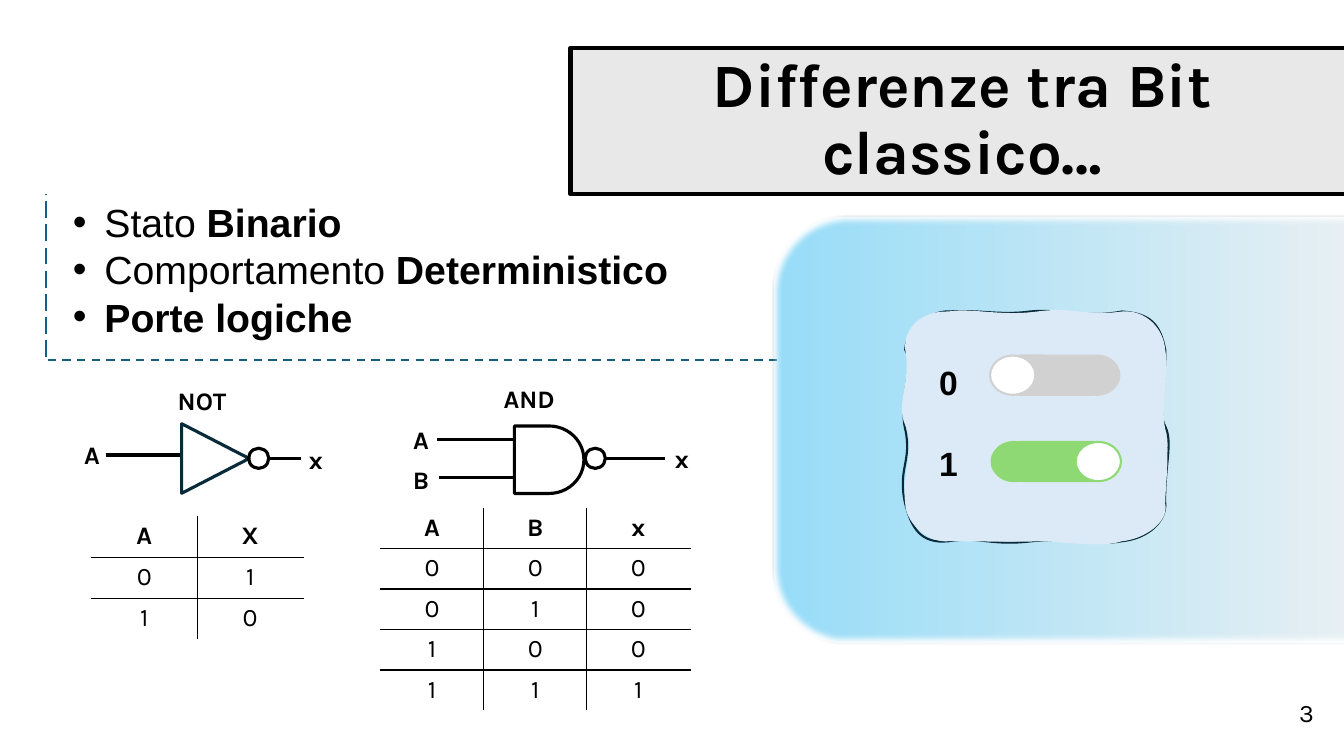
import lxml.etree
import pptx
import pptx.dml.color
import pptx.enum.dml
import pptx.enum.shapes
import pptx.enum.text
import pptx.oxml
import pptx.oxml.ns
import pptx.util

Pt = pptx.util.Pt
Kind = pptx.enum.shapes.MSO_SHAPE
Dash = pptx.enum.dml.MSO_LINE
Align = pptx.enum.text.PP_ALIGN
Anchor = pptx.enum.text.MSO_ANCHOR

TRACE = [
    (646.6, 249.8),
    (647.3, 234.7), (665.3, 221.8), (677.5, 222.5),
    (699.1, 221), (714.2, 225.4), (735.8, 222.5),
    (757.4, 220.3), (775.4, 227.5), (801.4, 222.5),
    (821.5, 223.9), (828.7, 231.1), (832.3, 249.8),
    (833, 272.2), (826.6, 293.8), (832.3, 304.6),
    (838.1, 316.1), (831.6, 334.1), (832.3, 360),
    (833, 371.5), (821.5, 384.5), (801.4, 386.6),
    (782.6, 390.2), (766.8, 383.8), (737.3, 386.6),
    (707, 390.2), (700.6, 383), (677.5, 386.6),
    (657.4, 388.8), (650.9, 376.6), (646.6, 360),
    (640.8, 334.8), (651.6, 329.8), (646.6, 306.7),
    (641.5, 284.4), (653.8, 261.4), (646.6, 249.8),
]
PANEL = [
    (646.6, 249.8),
    (645.1, 234), (658.8, 221.8), (677.5, 222.5),
    (692.6, 219.6), (715, 226.1), (740.9, 222.5),
    (766.8, 218.9), (775.4, 226.1), (801.4, 222.5),
    (817.2, 221), (830.9, 233.3), (832.3, 249.8),
    (835.2, 266.4), (828.7, 288.7), (832.3, 306.7),
    (835.9, 325.4), (832.3, 347.8), (832.3, 360),
    (835.2, 373), (817.2, 385.2), (801.4, 386.6),
    (787, 391.7), (758.2, 386.6), (742.3, 386.6),
    (725.8, 387.4), (705.6, 386.6), (677.5, 386.6),
    (661, 388.1), (646.6, 371.5), (646.6, 360),
    (643.7, 339.1), (653.8, 320.4), (646.6, 303.8),
    (639.4, 287.3), (650.9, 274.3), (646.6, 249.8),
]


def shade(code):
    return pptx.dml.color.RGBColor.from_string(code)


def node(parent, tag, **attrs):
    return lxml.etree.SubElement(parent, pptx.oxml.ns.qn(tag), attrs)


def write(para, text, size=18, font="Karla", bold=False, align=Align.CENTER):
    para.alignment = align
    run = para.add_run()
    run.text = text
    run.font.size = Pt(size)
    run.font.name = font
    run.font.bold = bold
    run.font.color.rgb = shade("000000")


def paint(shape, fill, line, width):
    shape.shadow.inherit = False
    if fill:
        shape.fill.solid()
        shape.fill.fore_color.rgb = shade(fill)
    else:
        shape.fill.background()
    shape.line.color.rgb = shade(line)
    shape.line.width = Pt(width)
    return shape


def draw(slide, kind, x, y, w, h, fill=None, line="000000", width=1.5):
    shape = slide.shapes.add_shape(kind, Pt(x), Pt(y), Pt(w), Pt(h))
    return paint(shape, fill, line, width)


def wire(slide, x1, y1, x2, y2, color="000000", width=2.25, dash=None):
    line = slide.shapes.add_connector(
        pptx.enum.shapes.MSO_CONNECTOR.STRAIGHT, Pt(x1), Pt(y1), Pt(x2), Pt(y2))
    line.line.color.rgb = shade(color)
    line.line.width = Pt(width)
    if dash:
        line.line.dash_style = dash
    node(line._element.spPr, "a:effectLst")


def box(slide, x, y, w, h):
    frame = slide.shapes.add_textbox(Pt(x), Pt(y), Pt(w), Pt(h)).text_frame
    frame.word_wrap = True
    return frame


def label(slide, text, mid, y, bold=True):
    frame = box(slide, mid - 35, y, 70, 29)
    write(frame.paragraphs[0], text, bold=bold)


def curve(shape, parent, knots, **attrs):
    def dot(owner, x, y):
        node(owner, "a:pt", x=str(Pt(x) - shape.left), y=str(Pt(y) - shape.top))

    track = node(parent, "a:path", w=str(shape.width), h=str(shape.height), **attrs)
    dot(node(track, "a:moveTo"), *knots[0])
    for i in range(1, len(knots), 3):
        bend = node(track, "a:cubicBezTo")
        for knot in knots[i:i + 3]:
            dot(bend, *knot)
    node(track, "a:close")


def blob(slide, fill, line):
    ends = [(Pt(x), Pt(y)) for x, y in TRACE[::3]]
    pen = slide.shapes.build_freeform(*ends[0], 1.0)
    pen.add_line_segments(ends[1:], close=True)
    shape = paint(pen.convert_to_shape(), fill, line, 1.5)
    tracks = next(shape._element.iter(pptx.oxml.ns.qn("a:pathLst")))
    tracks.remove(tracks[0])
    curve(shape, tracks, TRACE, fill="none")
    curve(shape, tracks, PANEL, stroke="0")


def switch(slide, x, y, color, on):
    knob, tail = (x + 60, x) if on else (x, x + 60)
    draw(slide, Kind.ROUNDED_RECTANGLE, x + 16.5, y, 60.5, 28, color, color)
    draw(slide, Kind.OVAL, tail, y, 32.4, 28, color, color)
    draw(slide, Kind.OVAL, knob, y, 32.4, 28, "FFFFFF", color)


def edge(cell, tag, shown):
    line = node(cell._tc.get_or_add_tcPr(), tag, w=str(Pt(1)))
    node(node(line, "a:solidFill"), "a:srgbClr", val="000000" if shown else "FFFFFF")


def table(slide, x, y, wide, high, data):
    rows, cols = len(data), len(data[0])
    grid = slide.shapes.add_table(
        rows, cols, Pt(x), Pt(y), Pt(wide * cols), Pt(high * rows)).table
    grid.horz_banding = False
    for i, row in enumerate(data):
        grid.rows[i].height = Pt(high)
        for j, text in enumerate(row):
            cell = grid.cell(i, j)
            edge(cell, "a:lnL", j > 0)
            edge(cell, "a:lnR", j < cols - 1)
            edge(cell, "a:lnT", i > 0)
            edge(cell, "a:lnB", i < rows - 1)
            cell.fill.background()
            write(cell.text_frame.paragraphs[0], text, bold=i == 0)


def card(slide):
    shape = draw(slide, Kind.ROUNDED_RECTANGLE, 552.2, 154.1, 463, 305.3, line="092A39")
    shape.fill.gradient()
    shape.fill.gradient_angle = 0
    for stop, code, spot in zip(shape.fill.gradient_stops, ("96DCF8", "F2F2F2"), (0, 1)):
        stop.color.rgb = shade(code)
        stop.position = spot
    glow = shape._element.spPr.find(pptx.oxml.ns.qn("a:effectLst"))
    node(glow, "a:softEdge", rad=str(Pt(5)))


def points(slide):
    frame = box(slide, 45, 137.9, 555, 109)
    items = [("Stato ", "Binario"), ("Comportamento ", "Deterministico"), ("", "Porte logiche")]
    for i, (plain, strong) in enumerate(items):
        para = frame.add_paragraph() if i else frame.paragraphs[0]
        para.line_spacing = Pt(33.8)
        for text, bold in ((plain, False), (strong, True)):
            if text:
                write(para, text, size=28, font="Arial", bold=bold, align=Align.LEFT)
        props = para._p.get_or_add_pPr()
        props.set("marL", str(Pt(22.5)))
        props.set("indent", str(Pt(-22.5)))
        node(props, "a:buFont", typeface="Arial")
        node(props, "a:buChar", char="•")


def title(slide):
    shape = draw(slide, Kind.RECTANGLE, 407.5, 34.2, 560, 104.6, "E8E8E8", "000000", 3)
    frame = shape.text_frame
    frame.word_wrap = True
    frame.vertical_anchor = Anchor.MIDDLE
    para = frame.paragraphs[0]
    para.line_spacing = 0.9
    write(para, "Differenze tra Bit classico…", size=44, bold=True)


def gates(slide):
    for ends in ((75.4, 325, 129.6, 325), (191.7, 327.6, 214.8, 327.6),
                 (312.5, 314, 366.7, 314), (313.4, 341.3, 367.2, 341.3),
                 (432, 327.6, 474.7, 327.6)):
        wire(slide, *ends)
    cone = draw(slide, Kind.ISOSCELES_TRIANGLE, 129, 303.4, 49.7, 48.2, None, "092A39", 2.25)
    cone.rotation = 90
    draw(slide, Kind.FLOWCHART_DELAY, 367.4, 304.3, 49.7, 48.2, width=2.25)
    for x in (177.6, 418):
        draw(slide, Kind.OVAL, x, 320.2, 14.4, 14.4, width=2.25)
    for text, mid, y in (("NOT", 144.3, 271.5), ("AND", 378, 270), ("A", 65.7, 310),
                         ("A", 300.7, 299.5), ("B", 300.7, 328.3),
                         ("x", 225.7, 314), ("x", 487, 313.2)):
        label(slide, text, mid, y)


def main():
    deck = pptx.Presentation()
    deck.slide_width, deck.slide_height = Pt(960), Pt(540)
    slide = deck.slides.add_slide(deck.slide_layouts[6])
    wire(slide, 34, 257, 567, 257, "156082", 1.5, Dash.DASH)
    title(slide)
    card(slide)
    blob(slide, "DCEAF7", "092A39")
    switch(slide, 707.2, 254, "D1D1D1", False)
    switch(slide, 708.3, 315.7, "8ED973", True)
    frame = box(slide, 663.8, 254.9, 28, 94)
    write(frame.paragraphs[0], "0", size=24, font="Arial", bold=True, align=Align.LEFT)
    one = frame.add_paragraph()
    one.space_before = Pt(29)
    write(one, "1", size=24, font="Arial", bold=True, align=Align.LEFT)
    points(slide)
    gates(slide)
    table(slide, 271.8, 363, 73.7, 28.9, ["ABx", "000", "010", "100", "111"])
    table(slide, 65.3, 368.9, 75.6, 29.3, ["AX", "01", "10"])
    wire(slide, 32.7, 255, 32.7, 138.4, "156082", 1.5, Dash.LONG_DASH)
    label(slide, "3", 933.2, 494.6, bold=False)
    deck.save("out.pptx")


if __name__ == "__main__":
    main()
